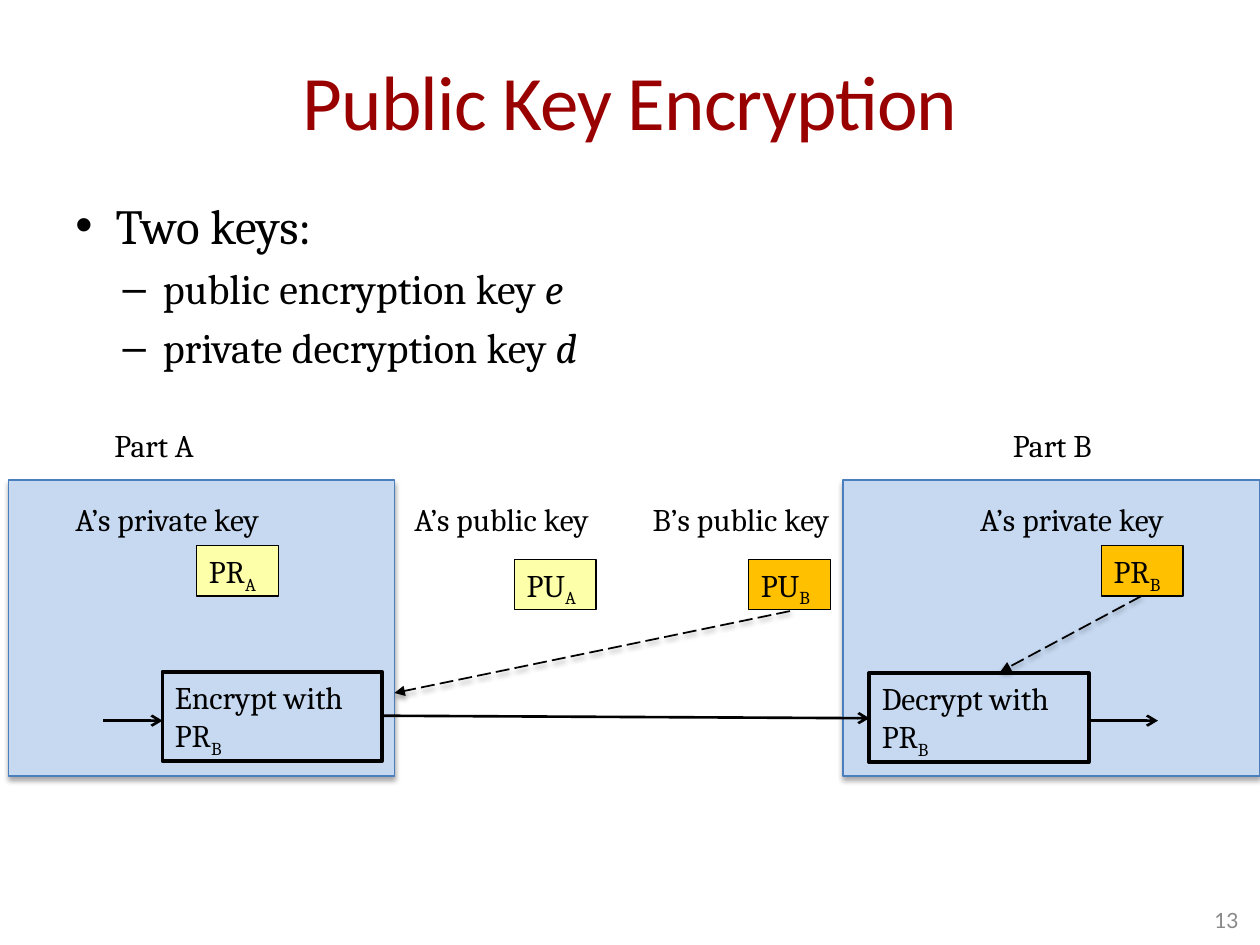
"""Build the slide on public key encryption with its two-party key diagram."""
from lxml.etree import SubElement
from pptx import Presentation
from pptx.dml.color import RGBColor
from pptx.enum.dml import MSO_LINE
from pptx.enum.shapes import MSO_CONNECTOR, MSO_SHAPE
from pptx.enum.text import MSO_ANCHOR, PP_ALIGN
from pptx.oxml.ns import qn
from pptx.util import Pt

BLACK = "000000"
PANEL_BLUE = "C6D9F1"
KEY_A = "FDFFA9"
KEY_B = "FFC000"


def color(hex_value):
    return RGBColor.from_string(hex_value)


def points(*lengths):
    return [Pt(length) for length in lengths]


def write(paragraph, text, size=18, font="Cambria", ink=BLACK,
          italic=False, baseline=None, spacing=None):
    run = paragraph.add_run()
    run.text = text
    run.font.size = Pt(size)
    run.font.name = font
    run.font.color.rgb = color(ink)
    run.font.italic = italic
    properties = run._r.get_or_add_rPr()
    if baseline:
        properties.set("baseline", str(baseline * 1000))
    if spacing:
        properties.set("spc", str(int(spacing * 100)))


def add_shadow(shape, opacity, distance):
    effects = SubElement(shape._element.spPr, qn("a:effectLst"))
    shadow = SubElement(effects, qn("a:outerShdw"), blurRad=str(Pt(3.1)),
                        dist=str(Pt(distance)), dir="5400000", rotWithShape="0")
    ink = SubElement(shadow, qn("a:srgbClr"), val=BLACK)
    SubElement(ink, qn("a:alpha"), val=str(opacity * 1000))


class KeySlide:
    """Hold the current slide and draw its kinds of element in one style."""

    def __init__(self, presentation):
        self.slide = presentation.slides.add_slide(presentation.slide_layouts[5])
        self.shapes = self.slide.shapes

    def title(self, text, left, top, width, height):
        heading = self.shapes.title
        heading.left, heading.top, heading.width, heading.height = points(
            left, top, width, height)
        frame = heading.text_frame
        frame.margin_left = frame.margin_right = 0
        frame.vertical_anchor = MSO_ANCHOR.MIDDLE
        frame.paragraphs[0].alignment = PP_ALIGN.CENTER
        write(frame.paragraphs[0], text, size=44, font="Calibri",
              ink="990000", spacing=-0.5)

    def label(self, text, left, top, width, height=28.8):
        box = self.shapes.add_textbox(*points(left, top, width, height))
        box.text_frame.word_wrap = True
        write(box.text_frame.paragraphs[0], text)

    def page_number(self, text, left, top, width, height):
        box = self.shapes.add_textbox(*points(left, top, width, height))
        frame = box.text_frame
        frame.margin_left = frame.margin_right = 0
        frame.margin_top = frame.margin_bottom = 0
        frame.word_wrap = True
        frame.vertical_anchor = MSO_ANCHOR.MIDDLE
        frame.paragraphs[0].alignment = PP_ALIGN.RIGHT
        write(frame.paragraphs[0], text, size=12, font="Lato", ink="898989")

    def bullets(self, items, left, top, width, height):
        box = self.shapes.add_textbox(*points(left, top, width, height))
        frame = box.text_frame
        frame.word_wrap = True
        for index, (level, text, symbol) in enumerate(items):
            paragraph = frame.add_paragraph() if index else frame.paragraphs[0]
            paragraph.level = level
            properties = paragraph._p.get_or_add_pPr()
            properties.set("marL", str(Pt(23 + 27 * level)))
            properties.set("indent", str(Pt(-23)))
            bullet_ink = SubElement(properties, qn("a:buClr"))
            SubElement(bullet_ink, qn("a:srgbClr"), val=BLACK)
            SubElement(properties, qn("a:buFont"), typeface="Arial")
            SubElement(properties, qn("a:buChar"), char="–" if level else "•")
            if index:
                paragraph.space_before = Pt(5)
            size = 24 if level else 28
            write(paragraph, text, size=size)
            if symbol:
                write(paragraph, symbol, size=size, italic=True)

    def box(self, left, top, width, height, fill=None, edge=BLACK, weight=0.75):
        shape = self.shapes.add_shape(
            MSO_SHAPE.RECTANGLE, *points(left, top, width, height))
        if fill:
            shape.fill.solid()
            shape.fill.fore_color.rgb = color(fill)
        else:
            shape.fill.background()
        shape.line.color.rgb = color(edge)
        shape.line.width = Pt(weight)
        return shape

    def panel(self, left, width):
        add_shadow(self.box(left, 274.3, width, 169.2, PANEL_BLUE, "4B7EBC"), 35, 1.8)

    def keyed_box(self, text, party, *place, **look):
        shape = self.box(*place, **look)
        shape.shadow.inherit = False
        frame = shape.text_frame
        frame.word_wrap = True
        frame.vertical_anchor = MSO_ANCHOR.TOP
        frame.paragraphs[0].alignment = PP_ALIGN.LEFT
        write(frame.paragraphs[0], text)
        write(frame.paragraphs[0], party, baseline=-25)

    def key(self, text, party, left, top):
        self.keyed_box(text, party, left, top, 46.8, 28.8,
                       fill=KEY_A if party == "A" else KEY_B)

    def step(self, text, left, top):
        self.keyed_box(text, "B", left, top, 125.3, 51.1, weight=2.25)

    def arrow(self, start_x, start_y, end_x, end_y, key_use=False):
        link = self.shapes.add_connector(
            MSO_CONNECTOR.STRAIGHT, *points(start_x, start_y, end_x, end_y))
        link.line.color.rgb = color(BLACK)
        link.line.width = Pt(1 if key_use else 1.5)
        if key_use:
            link.line.dash_style = MSO_LINE.LONG_DASH
        SubElement(link.line._get_or_add_ln(), qn("a:tailEnd"),
                   type="triangle" if key_use else "arrow")
        if key_use:
            add_shadow(link, 38, 1.6)
        else:
            SubElement(link._element.spPr, qn("a:effectLst"))


def main():
    presentation = Presentation()
    presentation.slide_width, presentation.slide_height = points(720, 540)
    page = KeySlide(presentation)
    page.title("Public Key Encryption", 36, 12.2, 648, 90)
    page.bullets([(0, "Two keys:", ""),
                  (1, "public encryption key ", "e"),
                  (1, "private decryption key ", "d")], 36, 108, 648, 120.2)
    page.page_number("13", 540, 511.2, 167.8, 28.8)

    for left, width in ((5, 220.3), (481.7, 238.3)):
        page.panel(left, width)
    for party, left in (("Part A", 58.3), ("Part B", 571.7)):
        page.label(party, left, 239.8, 64.1)
    for owner, left in (("A’s private key", 36), ("A’s public key", 229.7),
                        ("B’s public key", 365.8), ("A’s private key", 553)):
        page.label(owner, left, 282.2, 125.3)
    for text, party, left, top in (("PR", "A", 112.3, 311.8), ("PU", "A", 293.8, 319.7),
                                   ("PU", "B", 427.7, 319.7), ("PR", "B", 629.3, 311.8)):
        page.key(text, party, left, top)

    page.step("Encrypt with PR", 92.9, 383.8)
    page.step("Decrypt with PR", 496.8, 384.5)
    page.arrow(59, 411.8, 92.9, 411.8)
    page.arrow(218.2, 409, 496.8, 410.4)
    page.arrow(622.1, 411.8, 661.7, 411.8)
    page.arrow(451.4, 349.2, 225.4, 396, key_use=True)
    page.arrow(652.3, 340.6, 571.7, 383.8, key_use=True)
    presentation.save("out.pptx")


if __name__ == "__main__":
    main()
